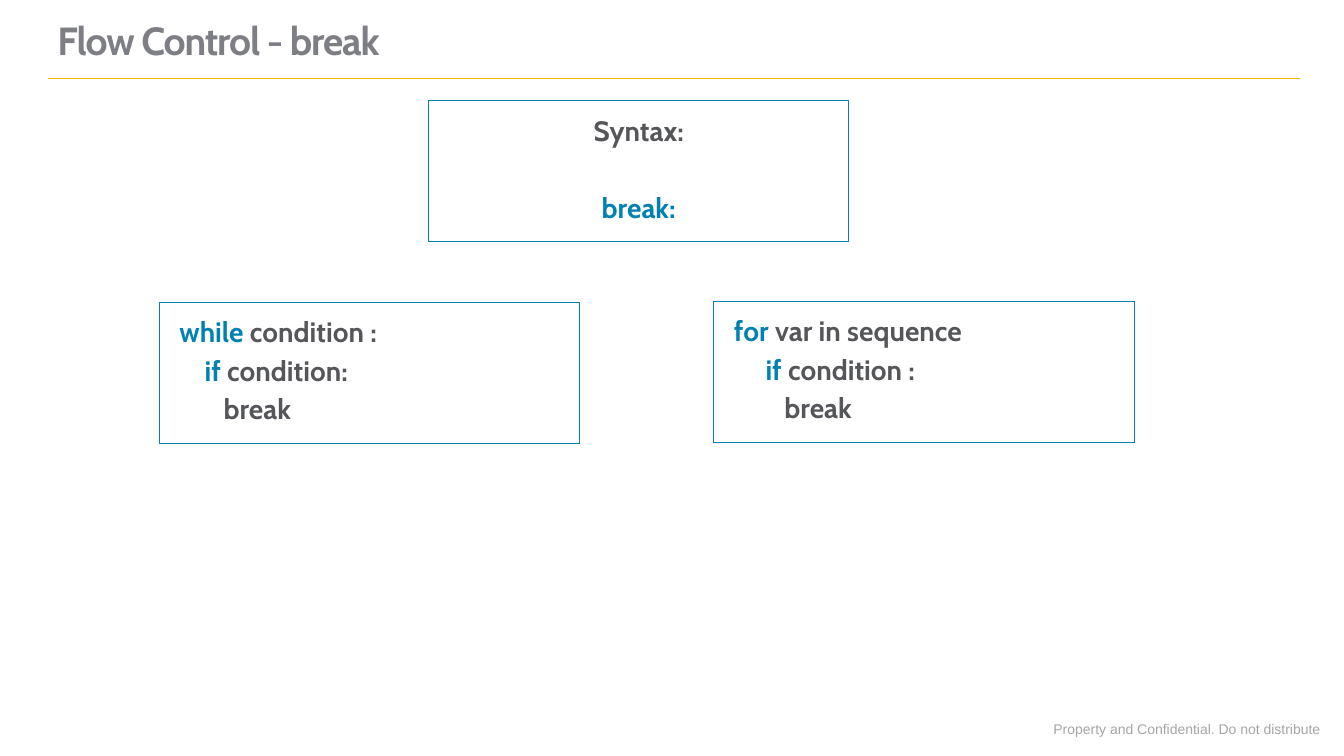
from lxml import etree
from pptx import Presentation
from pptx.dml.color import RGBColor
from pptx.enum.shapes import MSO_CONNECTOR, MSO_SHAPE
from pptx.enum.text import MSO_ANCHOR, PP_ALIGN
from pptx.oxml.ns import qn
from pptx.util import Inches, Pt

BLUE = RGBColor(0x01, 0x81, 0xB2)
DARK = RGBColor(0x55, 0x56, 0x5A)
GREY = RGBColor(0x7E, 0x7F, 0x85)
PALE = RGBColor(0xA6, 0xA6, 0xA6)
GOLD = RGBColor(0xF2, 0xB4, 0x11)
STRAIGHT = MSO_CONNECTOR.STRAIGHT
RECT = MSO_SHAPE.RECTANGLE
TOP, BOTTOM = MSO_ANCHOR.TOP, MSO_ANCHOR.BOTTOM
LEFT, CENTER = PP_ALIGN.LEFT, PP_ALIGN.CENTER

BOX_W, BOX_H = 4.17, 1.4
SYNTAX = [[("Syntax:", DARK)], [("break:", BLUE)]]
WHILE = [
    [("while", BLUE), (" condition :", DARK)],
    [("    ", DARK), ("if", BLUE), (" condition:", DARK)],
    [("       break", DARK)],
]
FOR = [
    [("for ", BLUE), ("var in sequence", DARK)],
    [("     ", DARK), ("if", BLUE), (" condition :", DARK)],
    [("        break", DARK)],
]


def style(run, size, color, name="Cabin", bold=True):
    font = run.font
    font.name, font.size, font.bold = name, Pt(size), bold
    font.color.rgb = color


def inset(frame, side, end):
    frame.margin_left = frame.margin_right = Inches(side)
    frame.margin_top = frame.margin_bottom = Inches(end)


def add_title(slide, left, top, width, height):
    box = slide.shapes.add_textbox(
        Inches(left), Inches(top), Inches(width), Inches(height))
    frame = box.text_frame
    frame.word_wrap = True
    frame.vertical_anchor = BOTTOM
    inset(frame, 0.16, 0.1)
    frame.text = "Flow Control - break"
    para = frame.paragraphs[0]
    para.line_spacing = 0.9
    run = para.runs[0]
    style(run, 28, GREY)
    run.font._element.set("spc", "-80")


def add_rule(slide, left, top, width):
    y = Inches(top)
    rule = slide.shapes.add_connector(
        STRAIGHT, Inches(left), y, Inches(left + width), y)
    rule.line.color.rgb = GOLD
    rule.line.width = Pt(0.75)
    etree.SubElement(rule._element.spPr, qn("a:effectLst"))


def add_code(slide, left, top, lines, align=LEFT, gap=6):
    """Draw a framed box with lines of (text, colour) parts."""
    box = slide.shapes.add_shape(
        RECT, Inches(left), Inches(top), Inches(BOX_W), Inches(BOX_H))
    box.shadow.inherit = False
    box.fill.background()
    box.line.color.rgb = BLUE
    box.line.width = Pt(0.75)
    frame = box.text_frame
    frame.word_wrap = True
    frame.vertical_anchor = TOP
    inset(frame, 0.2, 0.16)
    for i, parts in enumerate(lines):
        para = frame.add_paragraph() if i else frame.paragraphs[0]
        para.alignment = align
        para.line_spacing = 0.9
        para.space_after = Pt(gap)
        for text, color in parts:
            run = para.add_run()
            run.text = text
            style(run, 20, color)


def add_footer(slide, left, top, width, height):
    box = slide.shapes.add_textbox(
        Inches(left), Inches(top), Inches(width), Inches(height))
    frame = box.text_frame
    frame.word_wrap = False
    frame.text = "Property and Confidential. Do not distribute"
    style(frame.paragraphs[0].runs[0], 10, PALE, "Arial", False)


def main():
    deck = Presentation()
    deck.slide_width, deck.slide_height = Inches(13.33), Inches(7.5)
    slide = deck.slides.add_slide(deck.slide_layouts[6])
    add_footer(slide, 10.35, 7.1, 2.87, 0.27)
    add_rule(slide, 0.48, 0.78, 12.41)
    add_title(slide, 0.41, 0, 10, 0.73)
    add_code(slide, 4.25, 1, SYNTAX, CENTER, 33.5)
    add_code(slide, 1.58, 3, WHILE)
    add_code(slide, 7.08, 2.99, FOR)
    deck.save("out.pptx")


if __name__ == "__main__":
    main()
